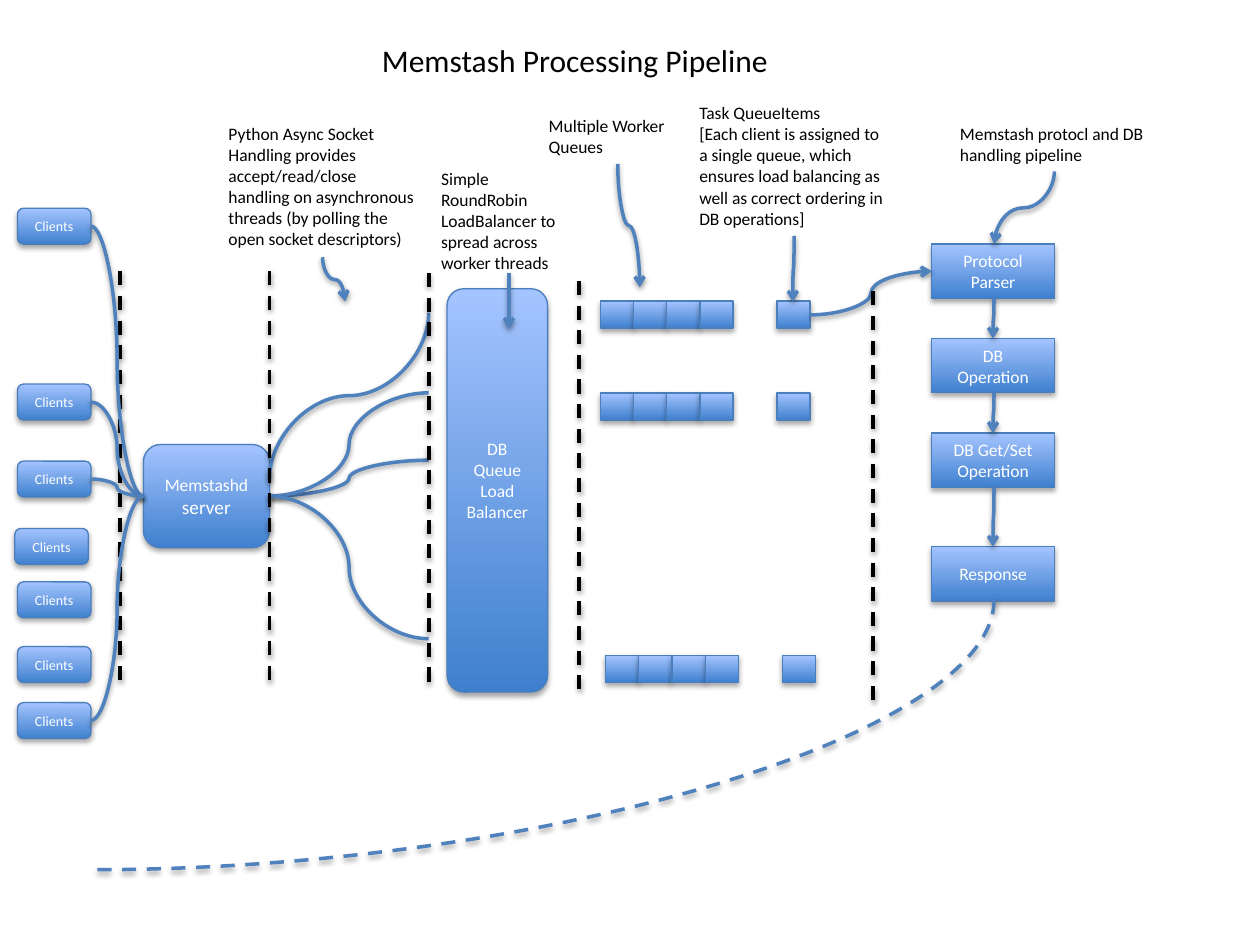
import pptx
import pptx.util
import pptx.dml.color
import pptx.enum.dml
import pptx.enum.shapes
import pptx.enum.text
import pptx.oxml
import pptx.oxml.ns
from dataclasses import dataclass
from itertools import pairwise

Pt = pptx.util.Pt
Align = pptx.enum.text.PP_ALIGN
Anchor = pptx.enum.text.MSO_ANCHOR
Kind = pptx.enum.shapes.MSO_SHAPE
Link = pptx.enum.shapes.MSO_CONNECTOR


@dataclass(frozen=True)
class Theme:
    """Colours, type sizes and line widths of the slide."""
    font: str = "Calibri"
    ink: str = "000000"
    pale: str = "FFFFFF"
    low: str = "3F80CE"
    high: str = "A4C4FF"
    edge: str = "4B7EBC"
    wire: str = "4F81BD"
    title: float = 18
    body: float = 10
    large: float = 11
    small: float = 8
    thin: float = 0.75
    thick: float = 2


LOOK = Theme()


def rgb(code):
    """Turn a hex code into a colour."""
    return pptx.dml.color.RGBColor.from_string(code)


def node(tag, **attrs):
    """Make a drawing element with attributes."""
    item = pptx.oxml.parse_xml(f"<a:{tag} {pptx.oxml.ns.nsdecls('a')}/>")
    for name, value in attrs.items():
        item.set(name, str(value))
    return item


def shade(props, dist, alpha):
    """Give shape properties a soft shadow that falls straight down."""
    list_tag = pptx.oxml.ns.qn("a:effectLst")
    effects = props.find(list_tag)
    if effects is None:
        effects = node("effectLst")
        props.append(effects)
    cast = node("outerShdw", blurRad=Pt(3.1), dist=Pt(dist),
                dir=5400000, rotWithShape=0)
    tint = node("srgbClr", val=LOOK.ink)
    tint.append(node("alpha", val=alpha * 1000))
    cast.append(tint)
    effects.append(cast)


def write(frame, lines, size, color, align):
    """Write one paragraph per line, each as a run."""
    frame.word_wrap = True
    for i, line in enumerate(lines):
        para = frame.add_paragraph() if i else frame.paragraphs[0]
        para.alignment = align
        run = para.add_run()
        run.text = line
        run.font.name = LOOK.font
        run.font.size = Pt(size)
        run.font.color.rgb = rgb(color)


def add_box(slide, kind, left, top, width, height, lines=(), size=LOOK.body):
    """Add a glossy box with centred text."""
    box = slide.shapes.add_shape(kind, Pt(left), Pt(top), Pt(width), Pt(height))
    box.fill.gradient()
    box.fill.gradient_angle = 90
    looks = ((LOOK.low, 0), (LOOK.high, 1))
    for stop, (color, place) in zip(box.fill.gradient_stops, looks):
        stop.color.rgb = rgb(color)
        stop.position = place
    box.line.color.rgb = rgb(LOOK.edge)
    box.line.width = Pt(LOOK.thin)
    box.shadow.inherit = False
    shade(box._element.spPr, 1.8, 35)
    box.text_frame.vertical_anchor = Anchor.MIDDLE
    write(box.text_frame, lines, size, LOOK.pale, Align.CENTER)
    return box


def add_note(slide, left, top, width, height, *lines):
    """Add a plain caption."""
    note = slide.shapes.add_textbox(Pt(left), Pt(top), Pt(width), Pt(height))
    write(note.text_frame, lines, LOOK.body, LOOK.ink, Align.LEFT)


def add_line(slide, start, end, kind=Link.CURVE, color=LOOK.wire,
             dash=False, arrow=False, upright=False):
    """Add a line; an upright curve leaves its start vertically."""
    (x1, y1), (x2, y2) = start, end
    if upright:
        mid_x, mid_y = (x1 + x2) / 2, (y1 + y2) / 2
        half_x, half_y = (x2 - x1) / 2, (y2 - y1) / 2
        x1, y1 = mid_x - half_y, mid_y + half_x
        x2, y2 = mid_x + half_y, mid_y - half_x
    line = slide.shapes.add_connector(kind, Pt(x1), Pt(y1), Pt(x2), Pt(y2))
    props = line._element.spPr
    if upright:
        props.find(pptx.oxml.ns.qn("a:xfrm")).set("rot", "5400000")
    line.line.color.rgb = rgb(color)
    line.line.width = Pt(LOOK.thick)
    if dash:
        line.line.dash_style = pptx.enum.dml.MSO_LINE.DASH
    if arrow:
        line.line._get_or_add_ln().append(node("tailEnd", type="arrow"))
    shade(props, 1.6, 38)
    return line


def add_title(slide, text):
    """Place and format the title."""
    title = slide.shapes.title
    title.left, title.top = Pt(211), Pt(20)
    title.width, title.height = Pt(242), Pt(29)
    write(title.text_frame, [text], LOOK.title, LOOK.ink, Align.LEFT)
    title.text_frame.vertical_anchor = Anchor.TOP
    title.text_frame.auto_size = pptx.enum.text.MSO_AUTO_SIZE.NONE


def add_server(slide):
    """Add the server, its wires and the balancer."""
    server = add_box(slide, Kind.ROUNDED_RECTANGLE, 82, 254, 72, 59,
                     ["Memstashd", "server"])
    server.text_frame.paragraphs[1].runs[0].font.size = Pt(LOOK.large)
    for y in (263, 224.5, 365):
        add_line(slide, (154, 283.5), (245, y))
    add_line(slide, (154, 273.6), (245, 178.6), upright=True)
    balancer = add_box(slide, Kind.ROUNDED_RECTANGLE, 255.5, 165, 57.5, 230.5,
                       ["DB", "Queue", "Load", "Balancer"])
    balancer.text_frame.margin_bottom = Pt(15.6)


def add_queues(slide):
    """Add rows of four queue cells, each with a task apart."""
    for left, top in ((343, 172), (343, 224.5), (346, 374.5)):
        for shift in (0, 19, 38, 57, 101):
            add_box(slide, Kind.RECTANGLE, left + shift, top, 19, 15.5)


def add_steps(slide):
    """Add the handling steps, joined by arrows."""
    height = 31
    steps = {139.5: ["Protocol", "Parser"], 193.5: ["DB", "Operation"],
             247.5: ["DB Get/Set", "Operation"], 312.5: ["Response"]}
    for top, lines in steps.items():
        add_box(slide, Kind.RECTANGLE, 532.5, top, 70, height, lines)
    for top, below in pairwise(steps):
        add_line(slide, (568, top + height), (567.4, below),
                 arrow=True, upright=True)
    add_line(slide, (463, 180), (532.5, 155), arrow=True)


def add_notes(slide):
    """Add the captions and the arrows that lead from them."""
    add_note(slide, 392.5, 55, 121.5, 80, "Task QueueItems",
             "[Each client is assigned to a single queue, which ensures load "
             "balancing as well as correct ordering in DB operations]")
    add_note(slide, 123.5, 66.5, 121.5, 80,
             "Python Async Socket Handling provides accept/read/close handling "
             "on asynchronous threads (by polling the open socket descriptors)")
    add_note(slide, 306.5, 62, 92, 31.5, "Multiple Worker", "Queues")
    add_note(slide, 541.5, 66.5, 121.5, 31.5,
             "Memstash protocl and DB handling pipeline")
    add_note(slide, 245, 92.5, 92, 80, "Simple RoundRobin LoadBalancer "
             "to spread across worker threads")
    for start, end in (((453.8, 134.8), (453, 172.5)),
                       ((184.3, 147), (197.3, 172.3)),
                       ((353, 93.6), (365.6, 164.2)),
                       ((602.5, 98), (568, 139.5)),
                       ((290.8, 156), (290.8, 188))):
        add_line(slide, start, end, arrow=True, upright=True)


def add_walls(slide):
    """Add the dashed lines between stages."""
    for x, top in ((68.5, 155), (154, 155), (245, 156), (331, 160.5), (499, 166.5)):
        add_line(slide, (x, top), (x, top + 235.5), Link.STRAIGHT,
                 LOOK.ink, dash=True)


def add_clients(slide):
    """Add the clients and the wires to the server."""
    clients = ((10, 119, True), (10, 219.5, True), (10, 263.5, True),
               (8.5, 302, False), (10, 332.5, False), (10, 369.5, False),
               (10, 401.5, True))
    for left, top, _ in clients:
        add_box(slide, Kind.ROUNDED_RECTANGLE, left, top, 42, 20.5,
                ["Clients"], LOOK.small)
    for left, top, wired in clients:
        if wired:
            add_line(slide, (left + 42, top + 10.25), (82, 283.5))


def add_return(slide):
    """Add the dashed way back from the response."""
    back = add_line(slide, (568, 343), (52, 497), dash=True, upright=True)
    shape = back._element.spPr.find(pptx.oxml.ns.qn("a:prstGeom"))
    shape.set("prst", "curvedConnector2")


def main():
    """Build the slide and save it."""
    deck = pptx.Presentation()
    deck.slide_width, deck.slide_height = Pt(720), Pt(540)
    slide = deck.slides.add_slide(deck.slide_layouts[5])
    add_title(slide, "Memstash Processing Pipeline")
    for part in (add_server, add_queues, add_steps, add_notes,
                 add_walls, add_clients, add_return):
        part(slide)
    deck.save("out.pptx")


main()
